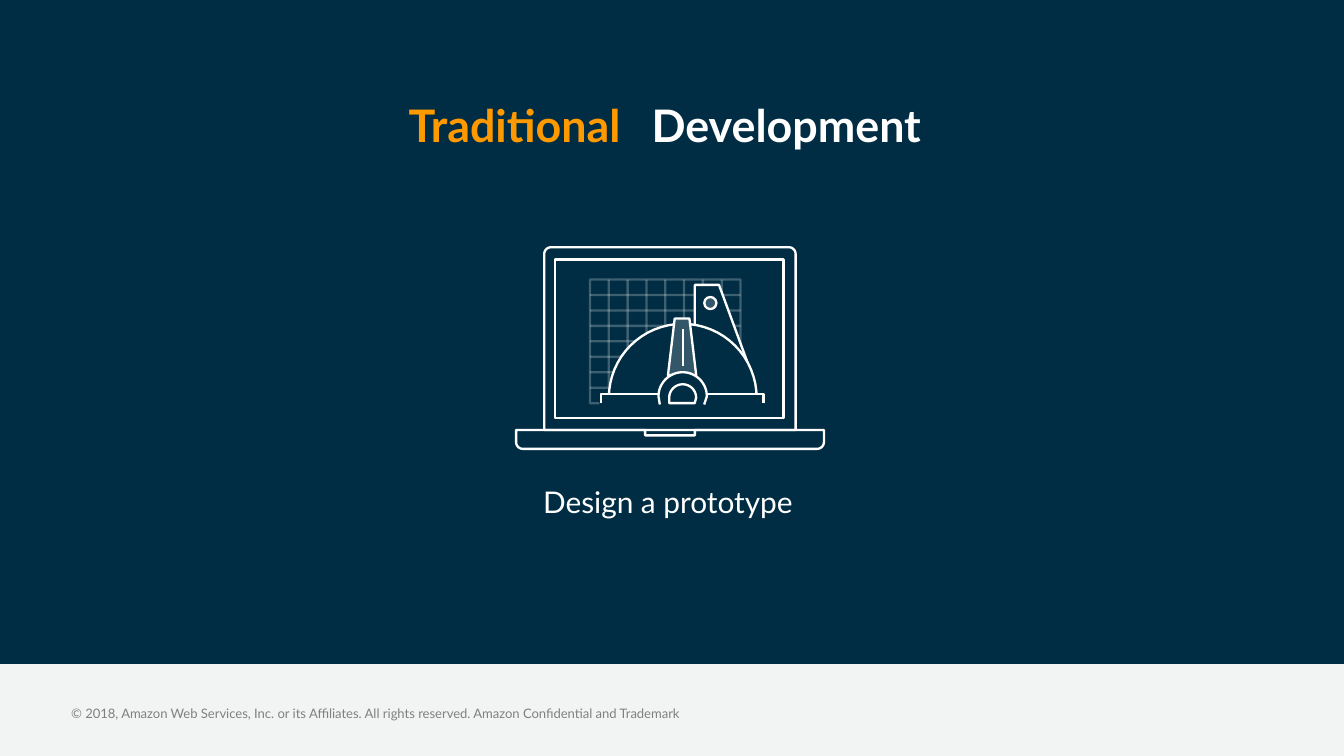
from math import cos, radians, sin

from lxml import etree
from pptx import Presentation
from pptx.dml.color import RGBColor
from pptx.enum import shapes, text
from pptx.oxml.ns import qn
from pptx.util import Inches, Pt

# Content
NAVY, WHITE, ORANGE, STEEL = "002D43", "FFFFFF", "FF9900", "335769"
PALE, GRAY = "F2F4F4", "808080"
TITLE = ("Traditional", (2.94, 0.68, 2.05, 0.5), 24, ORANGE, True)
SECOND_WORD = ("Development", (4.75, 0.68, 2.33, 0.5), 24, WHITE, True)
CAPTION = ("Design a prototype", (2.81, 3.55, 4.32, 0.37), 16, WHITE, False)
FOOTER = ("© 2018, Amazon Web Services, Inc. or its Affiliates. "
          "All rights reserved. Amazon Confidential and Trademark",
          (0.53, 5.25, 4.86, 0.12), 7, GRAY, False)

# Drafting grid: where each inner line stops
GRID_LEFT, GRID_TOP, GRID_RIGHT = 4.39, 2.08, 5.51
COLUMN_STEP, ROW_STEP = 0.14, 0.92 / 8
COLUMN_ENDS = [2.88, 2.71, 2.62, 2.5, 2.49, 2.5, 2.6]
ROW_ENDS = [5.51, 5.51, 5.51, 4.91, 4.74, 4.62, 4.53]

# Widescreen slide, 16:9
presentation = Presentation()
presentation.slide_width = Inches(10)
presentation.slide_height = presentation.slide_width * 9 // 16
slide = presentation.slides.add_slide(presentation.slide_layouts[5])


def color(value):
    return RGBColor.from_string(value)


def set_alpha(shape, place, percent):
    target = shape.element.spPr.find(f"{place}/{qn('a:srgbClr')}")
    etree.SubElement(target, qn("a:alpha")).set("val", str(percent * 1000))


def write(shape, words, box, size, hue, bold, align=None, inset=True, wrap=True):
    shape.left, shape.top, shape.width, shape.height = map(Inches, box)
    frame = shape.text_frame
    frame.word_wrap = wrap
    frame.auto_size = text.MSO_AUTO_SIZE.NONE
    frame.vertical_anchor = text.MSO_ANCHOR.TOP
    if not inset:
        frame.margin_left = frame.margin_right = 0
        frame.margin_top = frame.margin_bottom = 0
    paragraph = frame.paragraphs[0]
    paragraph.alignment = align or text.PP_ALIGN.LEFT
    run = paragraph.add_run()
    run.text = words
    run.font.name, run.font.size, run.font.bold = "Lato", Pt(size), bold
    run.font.color.rgb = color(hue)


def add_label(label, **options):
    write(slide.shapes.add_textbox(0, 0, 0, 0), *label, **options)


def style(shape, fill=None, outlined=True, alpha=None):
    shape.shadow.inherit = False
    if fill:
        shape.fill.solid()
        shape.fill.fore_color.rgb = color(fill)
    else:
        shape.fill.background()
    if outlined:
        shape.line.color.rgb = color(WHITE)
        shape.line.width = Pt(1.25)
    else:
        shape.line.fill.background()
    if alpha:
        set_alpha(shape, f"{qn('a:ln')}/{qn('a:solidFill')}", alpha)
    return shape


def preset(parent, kind, box, **look):
    return style(parent.shapes.add_shape(kind, *map(Inches, box)), **look)


def outline(points, closed=True, **look):
    points = [(Inches(x), Inches(y)) for x, y in points]
    builder = drawing.shapes.build_freeform(*points[0])
    builder.add_line_segments(points[1:], close=closed)
    return style(builder.convert_to_shape(), **look)


def line(start, end, alpha=None):
    connector = drawing.shapes.add_connector(
        shapes.MSO_CONNECTOR.STRAIGHT, *map(Inches, start + end))
    connector.line.color.rgb = color(WHITE)
    connector.line.width = Pt(1.25)
    etree.SubElement(connector.element.spPr, qn("a:effectLst"))
    if alpha:
        set_alpha(connector, f"{qn('a:ln')}/{qn('a:solidFill')}", alpha)


def arc(x, y, radius, start, end, steps=32):
    angles = [radians(start + (end - start) * i / steps) for i in range(steps + 1)]
    return [(x + radius * cos(a), y + radius * sin(a)) for a in angles]


# Background and dark panel
slide.background.fill.solid()
slide.background.fill.fore_color.rgb = color(PALE)
panel = preset(slide, shapes.MSO_SHAPE.RECTANGLE, (0, 0, 10, 4.94),
               fill=NAVY, outlined=False)
title = slide.shapes.title
title.element.addprevious(panel.element)

# Text
write(title, *TITLE, wrap=False)
add_label(SECOND_WORD, wrap=False)
add_label(CAPTION, align=text.PP_ALIGN.CENTER)
add_label(FOOTER, inset=False)

# Laptop
drawing = slide.shapes.add_group_shape()
outline([(5.92, 3.2), (4.05, 3.2)] + arc(4.1, 1.89, 0.05, 180, 270, 8)
        + arc(5.87, 1.89, 0.05, 270, 360, 8))
preset(drawing, shapes.MSO_SHAPE.RECTANGLE, (4.13, 1.93, 1.7, 1.18))
outline([(5.17, 3.2), (5.17, 3.24), (4.8, 3.24), (4.8, 3.2), (3.84, 3.2)]
        + arc(3.89, 3.29, 0.05, 180, 90, 8) + arc(6.08, 3.29, 0.05, 90, 0, 8)
        + [(6.13, 3.2)])

# Drafting grid
outline([(4.46, 3), (GRID_LEFT, 3), (GRID_LEFT, GRID_TOP),
         (GRID_RIGHT, GRID_TOP), (GRID_RIGHT, 2.6)], closed=False, alpha=24)
for i, end in enumerate(ROW_ENDS, 1):
    y = GRID_TOP + i * ROW_STEP
    line((GRID_LEFT, y), (end, y), alpha=24)
for i, end in enumerate(COLUMN_ENDS, 1):
    x = GRID_LEFT + i * COLUMN_STEP
    line((x, GRID_TOP), (x, end), alpha=24)
line((5.3, 2.54), (GRID_RIGHT, 2.54), alpha=24)

# Set square and protractor
outline([(5.35, 2.12), (5.17, 2.12), (5.17, 2.86), (5.6, 2.8)], fill=NAVY)
outline([(4.52, 2.99)] + arc(5.08, 2.96, 0.55, 180, 360) + [(5.63, 2.99)], fill=NAVY)
outline([(4.47, 3), (4.47, 2.93), (5.68, 2.93), (5.68, 3)], closed=False, fill=NAVY)
ridge = preset(drawing, shapes.MSO_SHAPE.TRAPEZOID, (4.97, 2.37, 0.21, 0.42), fill=STEEL)
ridge.adjustments[0] = 0.24
line((5.08, 2.45), (5.08, 2.72))
hole = preset(drawing, shapes.MSO_SHAPE.OVAL, (5.24, 2.21, 0.09, 0.09), fill=WHITE)
set_alpha(hole, qn("a:solidFill"), 20)
outline([(4.91, 3.01)] + arc(5.08, 2.95, 0.18, 180, 360) + [(5.24, 3.01)],
        closed=False, fill=NAVY)
outline([(4.98, 3)] + arc(5.08, 2.96, 0.1, 180, 360) + [(5.17, 3)], fill=NAVY)

presentation.save("out.pptx")
